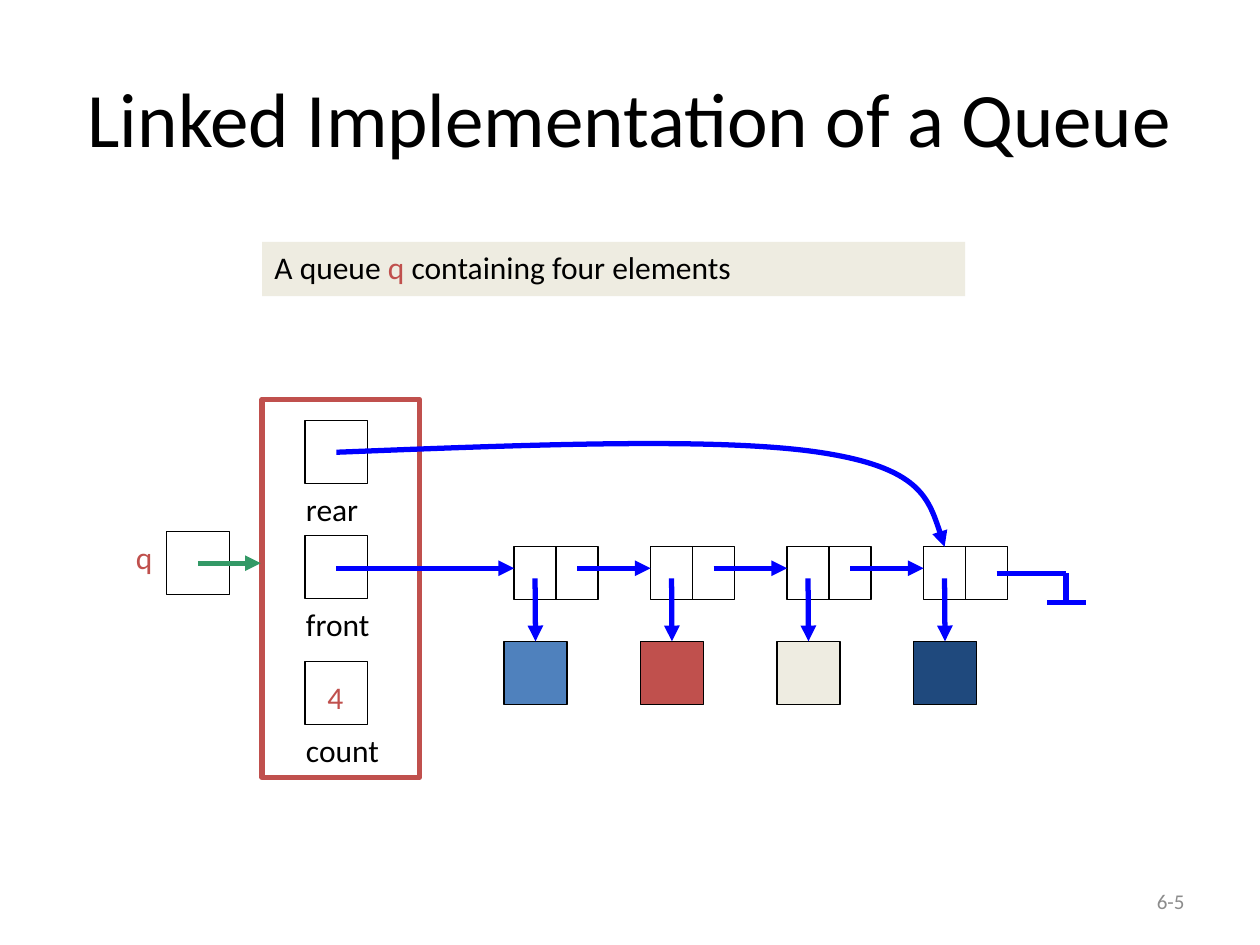
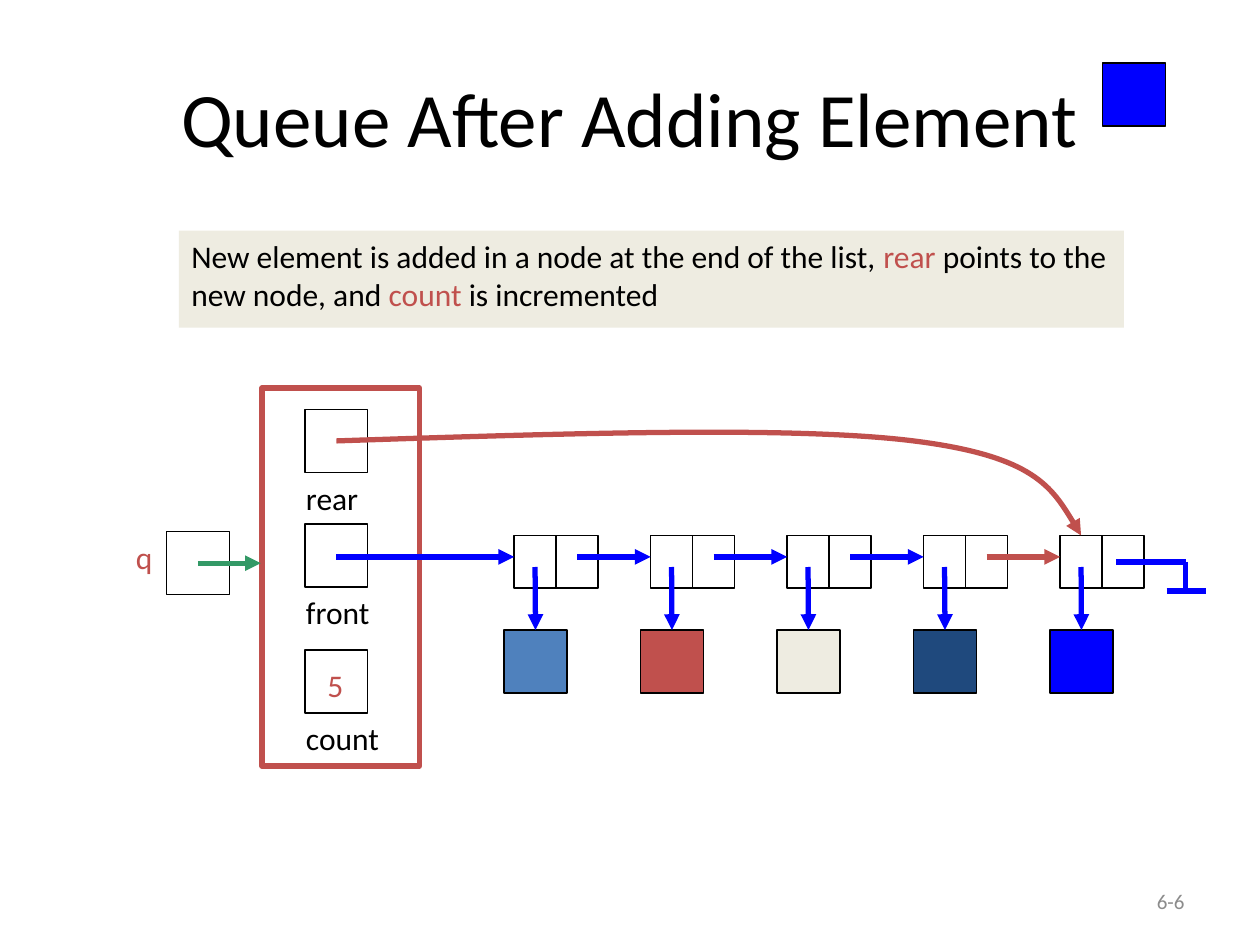
from dataclasses import dataclass

from lxml.etree import SubElement
from pptx import Presentation
from pptx.dml.color import RGBColor
from pptx.enum.shapes import MSO_CONNECTOR as Connector, MSO_SHAPE as Preset
from pptx.enum.text import MSO_ANCHOR as Anchor, PP_ALIGN as Align
from pptx.oxml.ns import qn
from pptx.util import Inches, Pt


@dataclass(frozen=True)
class Theme:
    """Colours, font, type sizes and line widths shared by the slides."""
    font: str = "Calibri"
    ink: str = "000000"
    accent: str = "C0504D"
    pointer: str = "0000FF"
    reference: str = "339966"
    band: str = "EEECE1"
    footer: str = "8C8C8C"
    elements: tuple = ("4F81BD", "C0504D", "EEECE1", "1F497D", "0000FF")
    title_size: int = 44
    body_size: int = 18
    footer_size: int = 12
    thin: float = 0.75
    thick: float = 3


THEME = Theme()
BOX = 0.5
LABEL_HEIGHT = 0.43
FRAME_LEFT = 2.08
FIELD_LEFT = 2.42
FIELD_CENTER = FIELD_LEFT + BOX / 2
FIELD_OFFSETS = {"rear": 0.17, "front": 1.08, "count": 2.08}
FIRST_NODE = 4.08
NODE_PITCH = 13 / 12
CELL_WIDTH = 1 / 3
CELL_HEIGHT = 5 / 12


def format_text(text_frame, size, color, align=Align.LEFT, anchor=Anchor.TOP):
    """Apply alignment and font to all text in a frame."""
    text_frame.word_wrap = True
    text_frame.vertical_anchor = anchor
    for paragraph in text_frame.paragraphs:
        paragraph.alignment = align
        for run in paragraph.runs:
            run.font.name = THEME.font
            run.font.size = Pt(size)
            run.font.color.rgb = RGBColor.from_string(color)


def add_label(slide, text, left, top, width, height=LABEL_HEIGHT,
              size=THEME.body_size, color=THEME.ink, **layout):
    """Add a text box."""
    label = slide.shapes.add_textbox(Inches(left), Inches(top), Inches(width), Inches(height))
    label.text_frame.text = text
    format_text(label.text_frame, size, color, **layout)


def style_line(shape, color, width, arrow=False):
    """Set the line of a shape, with an arrowhead at its end if wanted."""
    shape.line.color.rgb = RGBColor.from_string(color)
    shape.line.width = Pt(width)
    if arrow:
        outline = shape.element.spPr.find(qn("a:ln"))
        SubElement(outline, qn("a:tailEnd"), type="triangle")


def add_box(slide, left, top, width=BOX, height=BOX, fill=None, line=THEME.ink, weight=THEME.thin):
    """Add a rectangle, hollow unless a fill is given."""
    box = slide.shapes.add_shape(Preset.RECTANGLE, Inches(left), Inches(top),
                                 Inches(width), Inches(height))
    box.shadow.inherit = False
    if fill:
        box.fill.solid()
        box.fill.fore_color.rgb = RGBColor.from_string(fill)
    else:
        box.fill.background()
    if line:
        style_line(box, line, weight)
    else:
        box.line.fill.background()
    return box


def add_line(slide, start, end, color=THEME.pointer, arrow=True):
    """Add a thick straight line between two points."""
    line = slide.shapes.add_connector(Connector.STRAIGHT, *map(Inches, (*start, *end)))
    style_line(line, color, THEME.thick, arrow)
    SubElement(line.element.spPr, qn("a:effectLst"))
    return line


def add_rear_curve(slide, start, knee_x, end, color):
    """Add a curved arrow of two Bezier segments that meet at the knee."""
    start_x, start_y = start
    end_x, end_y = end
    reach, rise = 0.21 * (knee_x - start_x), 0.12
    before = (knee_x - reach, start_y - rise)
    after = (knee_x + reach, start_y + rise)
    points = [((start_x + before[0]) / 2, start_y - rise / 2), before, (knee_x, start_y),
              after, ((after[0] + end_x) / 2, (after[1] + end_y) / 2), end]
    builder = slide.shapes.build_freeform(Inches(start_x), Inches(start_y))
    builder.add_line_segments([tuple(map(Inches, point)) for point in points], close=False)
    curve = builder.convert_to_shape()
    segments = curve.element.findall(".//" + qn("a:lnTo"))
    outline = segments[0].getparent()
    for first in range(0, len(segments), 3):
        bezier = SubElement(outline, qn("a:cubicBezTo"))
        for segment in segments[first:first + 3]:
            bezier.append(segment[0])
            outline.remove(segment)
    curve.shadow.inherit = False
    curve.fill.background()
    style_line(curve, color, THEME.thick, arrow=True)


def add_banner(slide, text, left, top, width, height):
    """Add the caption band; words between asterisks take the accent colour."""
    banner = add_box(slide, left, top, width, height, fill=THEME.band, line=None)
    paragraph = banner.text_frame.paragraphs[0]
    parts = text.split("*")
    for part in parts:
        paragraph.add_run().text = part
    format_text(banner.text_frame, THEME.body_size, THEME.ink)
    for run in paragraph.runs[1::2]:
        run.font.color.rgb = RGBColor.from_string(THEME.accent)


def add_queue_record(slide, top, count):
    """Add the framed record with its rear, front and count fields."""
    add_box(slide, FRAME_LEFT, top, 1.25, 3, line=THEME.accent, weight=THEME.thick)
    for name, offset in FIELD_OFFSETS.items():
        add_box(slide, FIELD_LEFT, top + offset)
        add_label(slide, name, 2.33, top + offset + BOX, 0.92)
    add_label(slide, str(count), 2.5, top + FIELD_OFFSETS["count"] + 0.08, 0.39,
              color=THEME.accent)


def add_queue_reference(slide):
    """Add the variable q and its arrow to the record."""
    add_label(slide, "q", 0.98, 4.22, 0.5, color=THEME.accent)
    add_box(slide, 1.32, 4.22)
    add_line(slide, (1.57, 4.47), (2.07, 4.47), THEME.reference)


def add_node(slide, left, top, element):
    """Add a two-cell node pointing down to its element."""
    for cell in range(2):
        add_box(slide, left + cell * CELL_WIDTH, top, CELL_WIDTH, CELL_HEIGHT)
    data = add_box(slide, left - 0.08, top + 0.75, fill=element)
    center = left + CELL_WIDTH / 2
    pointer = add_line(slide, (center, top + 0.25), (center, top + 0.75))
    pointer.end_connect(data, 0)


def add_null_mark(slide, left, top):
    """Add the ground symbol that ends the list."""
    bend, bottom = left + 0.55, top + 0.23
    for start, end in (((left, top), (bend, top)),
                       ((bend, top), (bend, bottom)),
                       ((bend - 0.15, bottom), (bend + 0.16, bottom))):
        add_line(slide, start, end, arrow=False)


def add_linked_queue(slide, top, count, knee_x, null_left, new_color):
    """Add the whole diagram; new_color marks links to an added node."""
    add_queue_record(slide, top, count)
    node_top = top + 1.17
    link_y = node_top + 0.17
    lefts = [FIRST_NODE + index * NODE_PITCH for index in range(count)]
    for left, element in zip(lefts, THEME.elements):
        add_node(slide, left, node_top, element)
    sources = [FIELD_CENTER] + [left + 1.5 * CELL_WIDTH for left in lefts[:-1]]
    colors = [THEME.pointer] * (count - 1) + [new_color]
    for source, target, color in zip(sources, lefts, colors):
        add_line(slide, (source, link_y), (target, link_y), color)
    add_rear_curve(slide, (FIELD_CENTER, top + 0.42), knee_x,
                   (lefts[-1] + CELL_WIDTH / 2, node_top), new_color)
    add_queue_reference(slide)
    add_null_mark(slide, null_left, node_top + 0.21)


def add_titled_slide(presentation, title, number):
    """Add a title-only slide with its title and page number."""
    slide = presentation.slides.add_slide(presentation.slide_layouts[5])
    heading = slide.shapes.title
    heading.left, heading.top = Inches(0.5), Inches(0.3)
    heading.width, heading.height = Inches(9), Inches(1.25)
    heading.text_frame.text = title
    format_text(heading.text_frame, THEME.title_size, THEME.ink, Align.CENTER, Anchor.MIDDLE)
    add_label(slide, number, 7.17, 6.95, 2.33, 0.4, THEME.footer_size, THEME.footer,
              align=Align.RIGHT, anchor=Anchor.MIDDLE)
    return slide


def main():
    """Build and save the presentation."""
    presentation = Presentation()
    presentation.slide_width, presentation.slide_height = Inches(10), Inches(7.5)

    slide = add_titled_slide(presentation, "Linked Implementation of a Queue", "6-5")
    add_banner(slide, "A queue *q* containing four elements", 2.08, 1.92, 5.58, 0.43)
    add_linked_queue(slide, top=3.17, count=4, knee_x=6.5, null_left=7.91,
                     new_color=THEME.pointer)

    slide = add_titled_slide(presentation, "Queue After Adding Element", "6-6")
    add_box(slide, 8.75, 0.5, fill=THEME.elements[-1])
    add_banner(slide, "New element is added in a node at the end of the list, *rear* points "
               "to the new node, and *count* is incremented", 1.42, 1.83, 7.5, 0.77)
    add_linked_queue(slide, top=3.08, count=5, knee_x=7.25, null_left=8.86,
                     new_color=THEME.accent)

    presentation.save("out.pptx")


if __name__ == "__main__":
    main()
